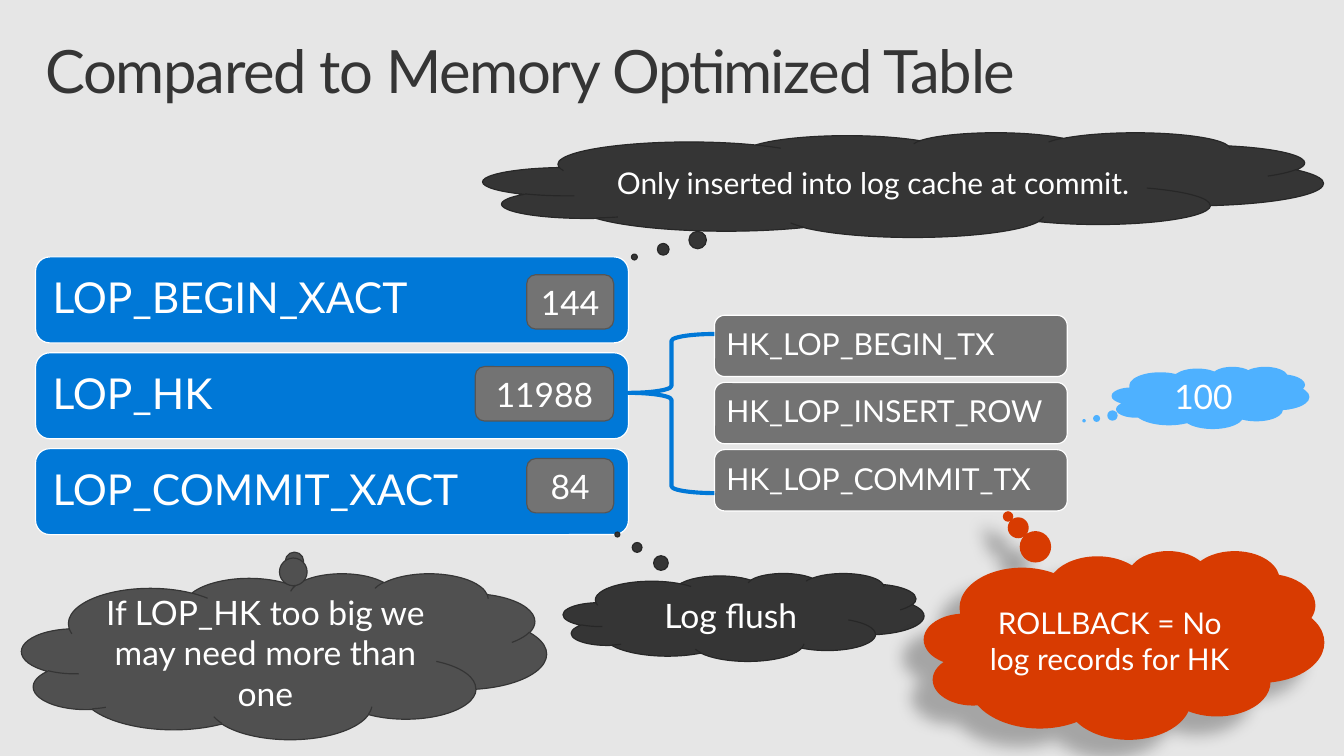
from lxml import etree
from pptx import Presentation
from pptx import util as u
from pptx.dml.color import RGBColor
from pptx.enum import shapes, text
from pptx.oxml import ns

COLORS = {
    "background": "E6E6E6",
    "ink": "353535",
    "ink_edge": "272727",
    "white": "FFFFFF",
    "blue": "0078D7",
    "gray": "737373",
    "gray_edge": "555555",
    "sky": "4EB1FF",
    "orange": "D83B01",
    "charcoal": "505050",
    "black": "000000",
}


class LogSlide:
    font = "Lato"
    edge_width = 0.85

    def __init__(self, deck):
        self.slide = deck.slides.add_slide(deck.slide_layouts[6])
        background = self.slide.background.fill
        background.solid()
        background.fore_color.rgb = self.color("background")

    def color(self, name):
        return RGBColor.from_string(COLORS[name])

    def label(self, frame, words, size, color="white", align=text.PP_ALIGN.CENTER, spacing=None):
        frame.word_wrap = True
        paragraph = frame.paragraphs[0]
        paragraph.alignment = align
        paragraph.line_spacing = spacing
        run = paragraph.add_run()
        run.text = words
        run.font.name = self.font
        run.font.size = u.Pt(size)
        run.font.color.rgb = self.color(color)
        return run

    def inset(self, frame, side, top):
        frame.margin_left = frame.margin_right = u.Inches(side)
        frame.margin_top = frame.margin_bottom = u.Inches(top)

    def title(self, box, words):
        heading = self.slide.shapes.add_textbox(*map(u.Inches, box))
        self.inset(heading.text_frame, 0.16, 0.1)
        run = self.label(heading.text_frame, words, 43.5, "ink", text.PP_ALIGN.LEFT, 0.9)
        run.font._element.set("spc", "-100")

    def shape(self, kind, box, fill=None, edge=None, width=edge_width, adjust=()):
        form = self.slide.shapes.add_shape(kind, *map(u.Inches, box))
        form.shadow.inherit = False
        for index, value in enumerate(adjust):
            form.adjustments[index] = value
        if fill:
            form.fill.solid()
            form.fill.fore_color.rgb = self.color(fill)
        else:
            form.fill.background()
        if edge:
            form.line.color.rgb = self.color(edge)
            form.line.width = u.Pt(width)
        else:
            form.line.fill.background()
        form.text_frame.vertical_anchor = text.MSO_ANCHOR.MIDDLE
        return form

    def bar(self, box, words, fill, size, margin):
        frame = self.shape(shapes.MSO_SHAPE.ROUNDED_RECTANGLE, box, fill, "white").text_frame
        self.inset(frame, margin, margin)
        self.label(frame, words, size, align=text.PP_ALIGN.LEFT, spacing=0.9)

    def badge(self, box, words):
        badge = self.shape(shapes.MSO_SHAPE.ROUNDED_RECTANGLE, box, "gray", "gray_edge")
        self.label(badge.text_frame, words, 24.5)

    def brace(self, box, color, adjust):
        self.shape(shapes.MSO_SHAPE.LEFT_BRACE, box, edge=color, width=3, adjust=adjust)

    def cloud(self, box, tail, words, fill, edge=None, size=24.5):
        cloud = self.shape(shapes.MSO_SHAPE.CLOUD_CALLOUT, box, fill, edge, adjust=tail)
        self.label(cloud.text_frame, words, size)
        return cloud

    def cast_shadow(self, form, opacity, blur, distance, angle):
        effects = form._element.spPr.find(ns.qn("a:effectLst"))
        shadow = etree.SubElement(
            effects, ns.qn("a:outerShdw"),
            blurRad=str(u.Pt(blur)), dist=str(u.Pt(distance)),
            dir=str(angle * 60000), algn="tr", rotWithShape="0")
        tint = etree.SubElement(shadow, ns.qn("a:srgbClr"), val=COLORS["black"])
        etree.SubElement(tint, ns.qn("a:alpha"), val=str(opacity * 1000))


def main():
    deck = Presentation()
    deck.slide_width, deck.slide_height = u.Inches(13.6), u.Inches(7.65)
    page = LogSlide(deck)
    page.title((0.3, 0.32, 13, 1), "Compared to Memory Optimized Table")

    operations = [
        ("LOP_BEGIN_XACT", "144", 0.88),
        ("LOP_HK", "11988", 1.4),
        ("LOP_COMMIT_XACT", "84", 0.88),
    ]
    for row, (operation, size_in_bytes, badge_width) in enumerate(operations):
        page.bar((0.36, 2.6 + 0.97 * row, 6, 0.87), operation, "blue", 31, 0.13)
        page.badge((6.21 - badge_width, 2.78 + 0.93 * row, badge_width, 0.55), size_in_bytes)

    hk_records = ["HK_LOP_BEGIN_TX", "HK_LOP_INSERT_ROW", "HK_LOP_COMMIT_TX"]
    for row, record in enumerate(hk_records):
        page.bar((7.23, 3.19 + 0.68 * row, 3.57, 0.62), record, "gray", 22, 0.09)
    page.brace((6.36, 3.38, 0.87, 1.61), "blue", (0.08, 0.37))

    page.cloud((11.25, 3.71, 2, 0.63), (-0.64, 0.37), "100", "sky")
    page.cloud((4.89, 1.34, 8.5, 1.06), (-0.32, 0.69),
               "Only inserted into log cache at commit.", "ink", "ink_edge", 21.8)
    page.cloud((5.7, 5.8, 3.65, 0.89), (-0.35, -0.94), "Log flush", "ink", "ink_edge")
    rollback = page.cloud((9.35, 5.57, 4.05, 1.91), (-0.29, -0.68),
                          "ROLLBACK = No log records for HK", "orange", size=21.8)
    page.cast_shadow(rollback, 28, 11.8, 19.7, 141)
    page.cloud((0.22, 5.8, 5.31, 1.68), (0.02, -0.58),
               "If LOP_HK too big we may need more than one", "charcoal", "ink")

    deck.save("out.pptx")


if __name__ == "__main__":
    main()
